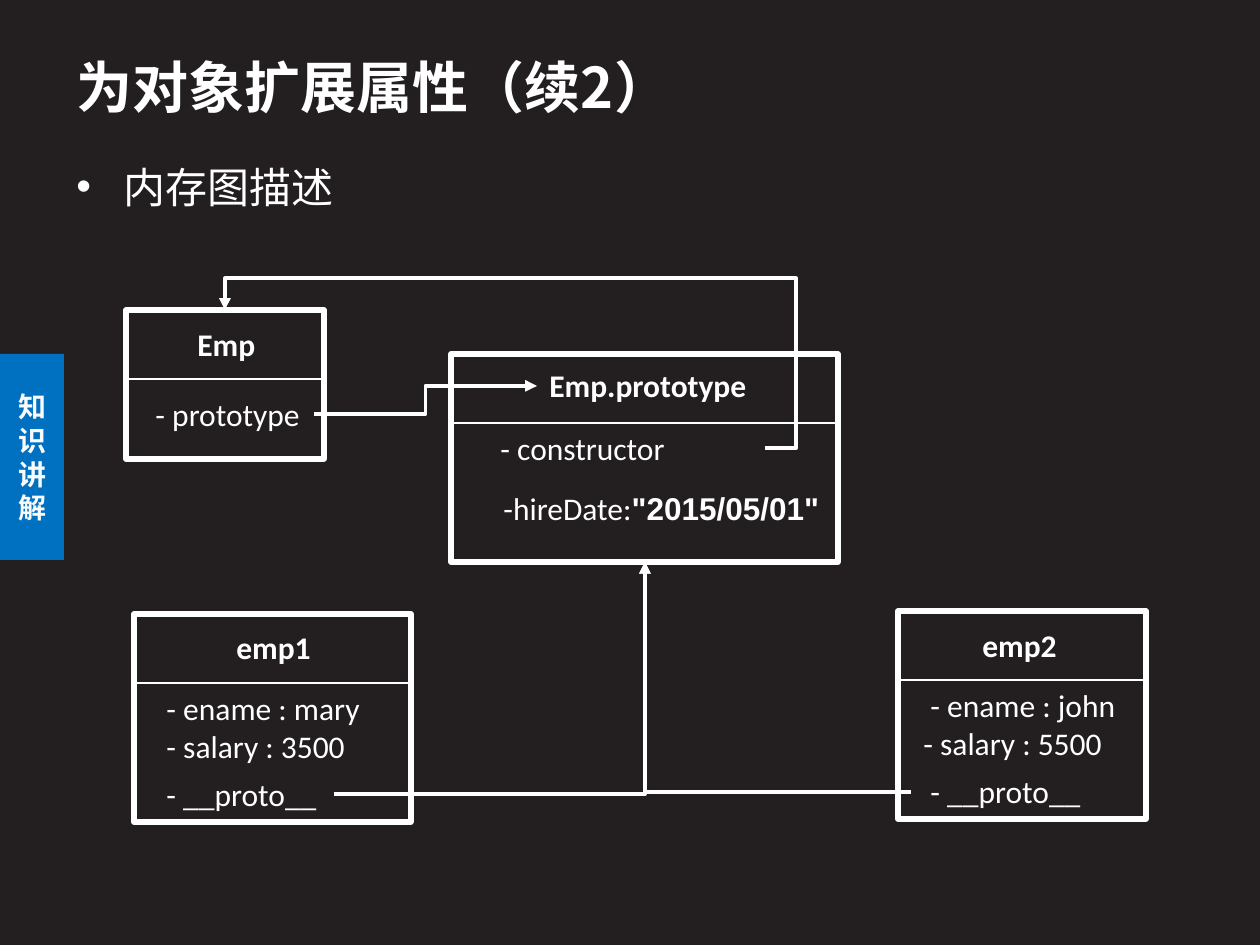
from lxml.etree import SubElement
from pptx import Presentation
from pptx.dml.color import RGBColor
from pptx.enum.shapes import MSO_CONNECTOR, MSO_SHAPE
from pptx.enum.text import MSO_ANCHOR, MSO_AUTO_SIZE, PP_ALIGN
from pptx.oxml.ns import qn
from pptx.util import Emu, Pt

SCALE = 914400 // 126  # EMU per px
COLORS = {"background": "231F20", "white": "FFFFFF", "tab": "0070C0", "tab_text": "F9FAFB"}
CHINESE = "Noto Sans CJK SC"
LINE_HEIGHT = 50
DIVIDER_OFFSET = 69


def px(*values):
    return [Emu(value * SCALE) for value in values]


def color(name):
    return RGBColor.from_string(COLORS[name])


def format_run(run, size=18, font="Calibri", bold=False, ink="white"):
    run.font.size = Pt(size)
    run.font.name = font
    run.font.bold = bold
    run.font.color.rgb = color(ink)
    if font == CHINESE:
        SubElement(run.font._element, qn("a:ea"), typeface=font)


def add_text(slide, box, lines, **style):
    shape = slide.shapes.add_textbox(*px(*box))
    frame = shape.text_frame
    frame.word_wrap = True
    frame.auto_size = MSO_AUTO_SIZE.SHAPE_TO_FIT_TEXT
    frame.text = lines
    for paragraph in frame.paragraphs:
        for run in paragraph.runs:
            format_run(run, **style)
    return frame


def add_bullet(paragraph, indent):
    properties = paragraph._p.get_or_add_pPr()
    properties.set("marL", str(indent * SCALE))
    properties.set("indent", str(-indent * SCALE))
    SubElement(properties, qn("a:buFont"), typeface="Arial")
    SubElement(properties, qn("a:buChar"), char="•")


def add_line(slide, start, end, width, kind=MSO_CONNECTOR.STRAIGHT):
    line = slide.shapes.add_connector(kind, *px(*start, *end))
    line.line.color.rgb = color("white")
    line.line.width = Pt(width)
    SubElement(line._element.spPr, qn("a:effectLst"))
    return line


def add_link(slide, start, end, preset="bentConnector3", adjustments=()):
    link = add_line(slide, start, end, 2.25, MSO_CONNECTOR.ELBOW)
    properties = link._element.spPr
    SubElement(properties.find(qn("a:ln")), qn("a:tailEnd"), type="triangle")
    geometry = properties.find(qn("a:prstGeom"))
    geometry.set("prst", preset)
    guides = geometry.find(qn("a:avLst"))
    for number, value in enumerate(adjustments, 1):
        SubElement(guides, qn("a:gd"), name=f"adj{number}", fmla=f"val {value}")


def add_card(slide, box, title, title_box):
    left, top, width, height = box
    frame = slide.shapes.add_shape(MSO_SHAPE.RECTANGLE, *px(*box))
    frame.shadow.inherit = False
    frame.fill.background()
    frame.line.color.rgb = color("white")
    frame.line.width = Pt(3)
    divider = top + DIVIDER_OFFSET
    add_line(slide, (left, divider), (left + width, divider), 0.75)
    add_text(slide, (*title_box, LINE_HEIGHT), title, bold=True)


def add_side_label(slide):
    label = slide.shapes.add_shape(MSO_SHAPE.RECTANGLE, *px(0, 354, 64, 206))
    label.shadow.inherit = False
    label.fill.solid()
    label.fill.fore_color.rgb = color("tab")
    label.line.fill.background()
    frame = label.text_frame
    frame.word_wrap = True
    frame.vertical_anchor = MSO_ANCHOR.MIDDLE
    frame.text = "知识讲解"
    paragraph = frame.paragraphs[0]
    paragraph.alignment = PP_ALIGN.CENTER
    format_run(paragraph.runs[0], 16, CHINESE, True, "tab_text")


def main():
    presentation = Presentation()
    presentation.slide_width, presentation.slide_height = px(1260, 945)
    slide = presentation.slides.add_slide(presentation.slide_layouts[6])
    slide.background.fill.solid()
    slide.background.fill.fore_color.rgb = color("background")
    add_side_label(slide)

    # Heading and bullet
    heading = add_text(slide, (64, 37, 932, 98), "为对象扩展属性（续2）",
                       size=32, font=CHINESE, bold=True)
    heading.auto_size = MSO_AUTO_SIZE.NONE
    heading.vertical_anchor = MSO_ANCHOR.MIDDLE
    body = add_text(slide, (64, 145, 1111, 68), "内存图描述", size=24, font=CHINESE)
    body.paragraphs[0].line_spacing = 1.2
    add_bullet(body.paragraphs[0], 47)

    # Object cards
    add_card(slide, (451, 354, 387, 208), "Emp.prototype", (537, 360, 228))
    add_card(slide, (126, 310, 198, 149), "Emp", (185, 319, 89))
    add_card(slide, (134, 614, 277, 208), "emp1", (224, 622, 110))
    add_card(slide, (898, 611, 248, 208), "emp2", (970, 620, 103))

    # Members of each object
    members = [
        (136, 389, 178, " - prototype"),
        (481, 423, 284, " - constructor"),
        (147, 683, 249, " - ename : mary\n - salary : 3500"),
        (147, 769, 185, " - __proto__"),
        (911, 680, 223, " - ename : john - salary : 5500"),
        (911, 766, 236, " - __proto__"),
    ]
    for left, top, width, text in members:
        add_text(slide, (left, top, width, LINE_HEIGHT), text)
    hire_date = add_text(slide, (484, 483, 354, LINE_HEIGHT), " -hireDate:")
    value = hire_date.paragraphs[0].add_run()
    value.text = '"2015/05/01"'
    format_run(value, font="Arial", bold=True)

    # References between objects
    add_link(slide, (314, 414), (537, 386))
    add_link(slide, (765, 448), (225, 310), "bentConnector4", (-5800, 122800))
    for start in ((334, 794), (911, 792)):
        add_link(slide, start, (645, 562), "bentConnector2")

    presentation.save("out.pptx")


if __name__ == "__main__":
    main()
